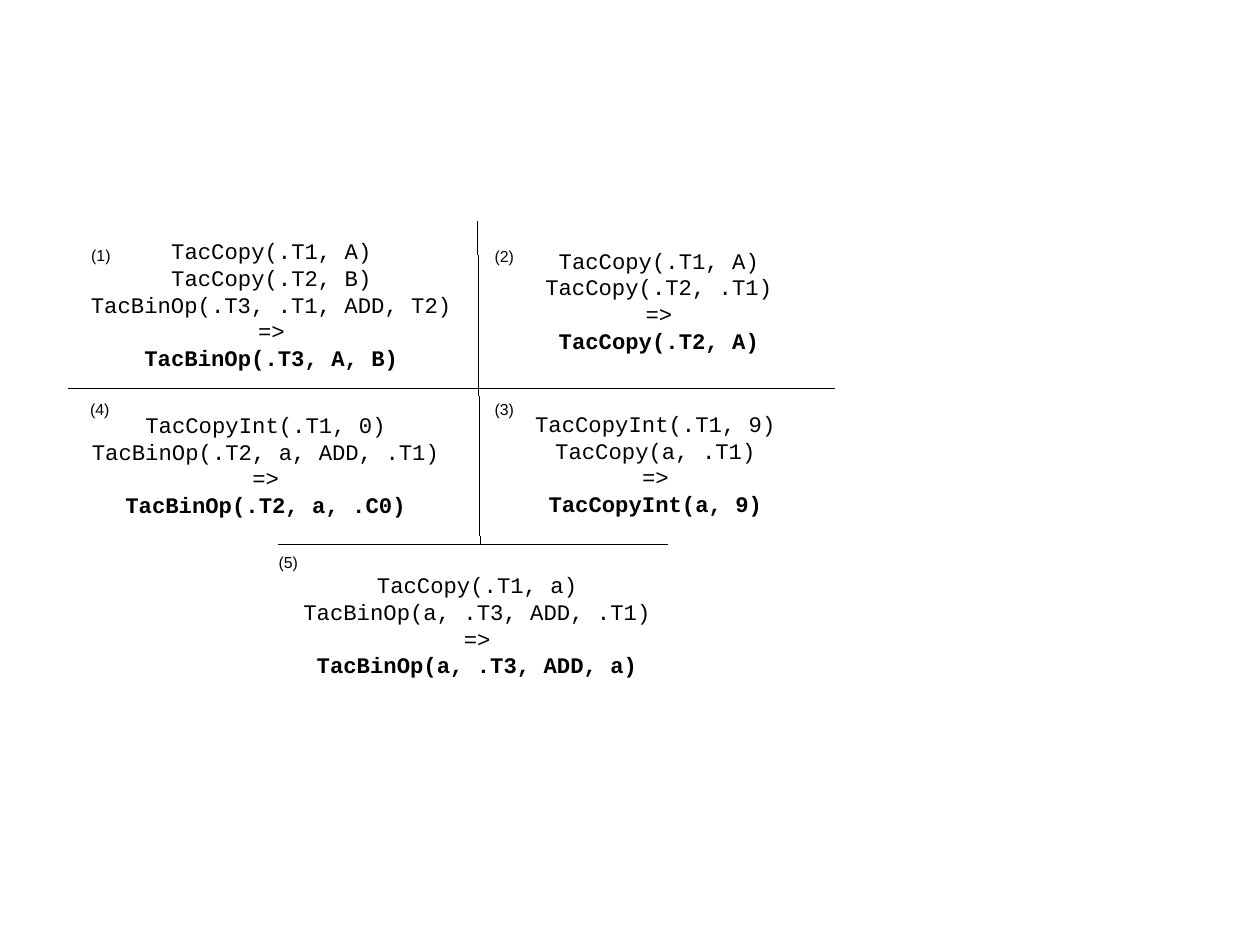
from dataclasses import dataclass

from lxml.etree import SubElement
from pptx import Presentation
from pptx.dml.color import RGBColor
from pptx.enum.shapes import MSO_CONNECTOR
from pptx.enum.text import MSO_ANCHOR, MSO_AUTO_SIZE, PP_ALIGN
from pptx.oxml.ns import qn
from pptx.util import Inches, Pt

CM_PER_INCH = 2.54


@dataclass(frozen=True)
class Theme:
    ink: RGBColor = RGBColor(0, 0, 0)
    code_font: str = "Courier New"
    label_font: str = "Arial"
    code_size: Pt = Pt(14)
    label_size: Pt = Pt(10)
    hairline: Pt = Pt(0.01)


class RuleSheet:
    def __init__(self, slide, theme):
        self.slide = slide
        self.theme = theme

    def text_box(self, left, top, width, height, text):
        shape = self.slide.shapes.add_textbox(
            Inches(left), Inches(top), Inches(width), Inches(height))
        text_frame = shape.text_frame
        text_frame.text = text
        text_frame.word_wrap = True
        text_frame.vertical_anchor = MSO_ANCHOR.TOP
        return text_frame

    def style_paragraph(self, paragraph, font_name, size, bold=False):
        for run in paragraph.runs:
            run.font.name = font_name
            run.font.size = size
            run.font.bold = bold
            run.font.color.rgb = self.theme.ink

    def rewrite(self, left, top, width, height, before, after):
        """Show the instructions before, an arrow, and the bold result."""
        text_frame = self.text_box(left, top, width, height,
                                   "\n".join([*before, "=>", after]))
        for paragraph in text_frame.paragraphs:
            paragraph.alignment = PP_ALIGN.CENTER
            self.style_paragraph(paragraph, self.theme.code_font,
                                 self.theme.code_size, paragraph.text == after)

    def label(self, left, top, number):
        text_frame = self.text_box(left, top, 0.37, 0.26, f"({number})")
        text_frame.word_wrap = False
        text_frame.auto_size = MSO_AUTO_SIZE.SHAPE_TO_FIT_TEXT
        self.style_paragraph(text_frame.paragraphs[0], self.theme.label_font,
                             self.theme.label_size)

    def divider(self, start_x, start_y, end_x, end_y):
        connector = self.slide.shapes.add_connector(
            MSO_CONNECTOR.STRAIGHT, Inches(start_x), Inches(start_y),
            Inches(end_x), Inches(end_y))
        connector.line.color.rgb = self.theme.ink
        connector.line.width = self.theme.hairline
        SubElement(connector._element.spPr, qn("a:effectLst"))


# Box left, top, width, height; instructions before; result after
REWRITES = [
    (0.6, 2.03, 3.55, 1.9,
     ["TacCopy(.T1, A)", "TacCopy(.T2, B)", "TacBinOp(.T3, .T1, ADD, T2)"],
     "TacBinOp(.T3, A, B)"),
    (4.09, 2.11, 3.35, 1.21,
     ["TacCopy(.T1, A)", "TacCopy(.T2, .T1)"], "TacCopy(.T2, A)"),
    (4.06, 3.54, 3.35, 1.41,
     ["TacCopyInt(.T1, 9)", "TacCopy(a, .T1)"], "TacCopyInt(a, 9)"),
    (0.55, 3.55, 3.55, 1.66,
     ["TacCopyInt(.T1, 0)", "TacBinOp(.T2, a, ADD, .T1)"],
     "TacBinOp(.T2, a, .C0)"),
    (2.5, 4.95, 3.35, 1.41,
     ["TacCopy(.T1, a)", "TacBinOp(a, .T3, ADD, .T1)"],
     "TacBinOp(a, .T3, ADD, a)"),
]
LABEL_POSITIONS = [(0.7, 2.1), (4.23, 2.11), (4.23, 3.45), (0.69, 3.45),
                   (2.34, 4.79)]
DIVIDERS = [(0.6, 3.4, 7.3, 3.4), (4.18, 1.94, 4.2, 4.76),
            (2.44, 4.76, 5.84, 4.76)]


def main():
    presentation = Presentation()
    presentation.slide_width = Inches(28 / CM_PER_INCH)
    presentation.slide_height = Inches(21 / CM_PER_INCH)
    slide = presentation.slides.add_slide(presentation.slide_layouts[6])
    sheet = RuleSheet(slide, Theme())
    for rewrite in REWRITES:
        sheet.rewrite(*rewrite)
    for divider in DIVIDERS:
        sheet.divider(*divider)
    for number, position in enumerate(LABEL_POSITIONS, start=1):
        sheet.label(*position, number)
    presentation.save("out.pptx")


if __name__ == "__main__":
    main()
